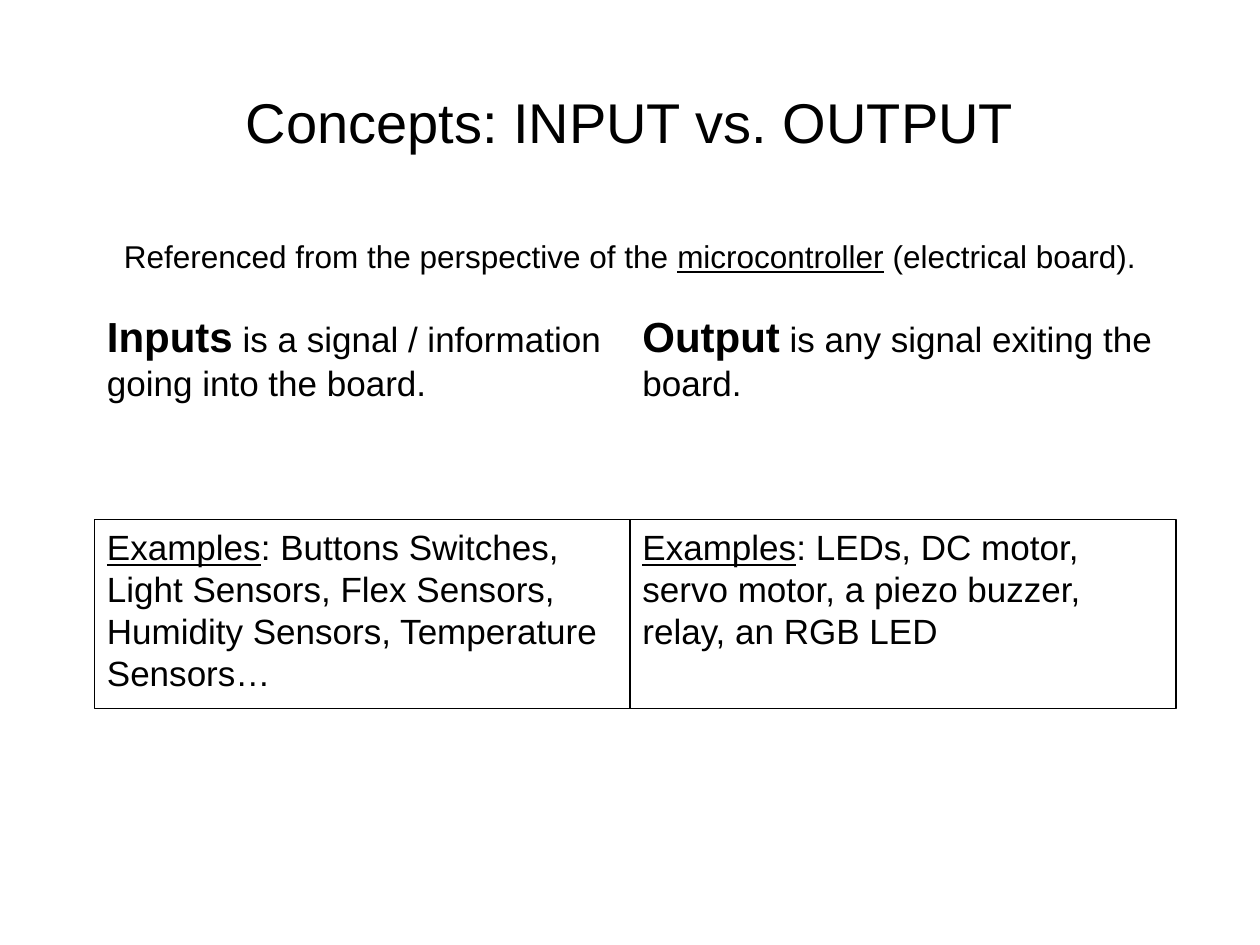
import pptx
import pptx.dml.color
import pptx.enum.shapes
import pptx.enum.text
import pptx.util

BLACK = pptx.dml.color.RGBColor(0x00, 0x00, 0x00)
WHITE = pptx.dml.color.RGBColor(0xFF, 0xFF, 0xFF)
ALIGN = pptx.enum.text.PP_ALIGN
ANCHOR = pptx.enum.text.MSO_ANCHOR

# Grid of the slide: twelve cells to the inch
CELL = pptx.util.Inches(1) // 12
COLUMNS, ROWS = 120, 90


def add_run(paragraph, text, size=20, bold=False, underline=False,
            font="Arial", color=BLACK):
    run = paragraph.add_run()
    run.text = text
    run.font.name = font
    run.font.size = pptx.util.Pt(size)
    run.font.bold = bold
    run.font.underline = underline
    run.font.color.rgb = color


class SlideBuilder:
    """Holds the style and the current slide; lengths are grid cells."""

    line_width = pptx.util.Pt(0.75)

    def __init__(self, presentation):
        title_only = presentation.slide_layouts[5]
        self.slide = presentation.slides.add_slide(title_only)
        self.slide.background.fill.solid()
        self.slide.background.fill.fore_color.rgb = WHITE

    def place(self, *cells):
        return [round(cell * CELL) for cell in cells]

    def fill_text(self, shape, runs, align=ALIGN.LEFT, anchor=ANCHOR.TOP):
        frame = shape.text_frame
        frame.word_wrap = True
        frame.auto_size = pptx.enum.text.MSO_AUTO_SIZE.NONE
        frame.vertical_anchor = anchor
        paragraph = frame.paragraphs[0]
        paragraph.alignment = align
        for text, style in runs:
            add_run(paragraph, text, **style)

    def title(self, text, cells, size):
        shape = self.slide.shapes.title
        shape.left, shape.top, shape.width, shape.height = self.place(*cells)
        self.fill_text(shape, [(text, {"size": size})],
                       ALIGN.CENTER, ANCHOR.MIDDLE)

    def text(self, runs, cells, align=ALIGN.LEFT):
        shape = self.slide.shapes.add_textbox(*self.place(*cells))
        self.fill_text(shape, runs, align)

    def box(self, runs, cells):
        shape = self.slide.shapes.add_shape(
            pptx.enum.shapes.MSO_SHAPE.RECTANGLE, *self.place(*cells))
        shape.shadow.inherit = False
        shape.fill.background()
        shape.line.color.rgb = BLACK
        shape.line.width = self.line_width
        self.fill_text(shape, runs)


def main():
    presentation = pptx.Presentation()
    presentation.slide_width = COLUMNS * CELL
    presentation.slide_height = ROWS * CELL
    builder = SlideBuilder(presentation)

    # Title and introduction
    margin, content_width = 9, 102
    builder.title("Concepts: INPUT vs. OUTPUT", (margin, 4, content_width, 15), 32)
    builder.text([
        ("Referenced from the perspective of the ", {"size": 18}),
        ("microcontroller", {"size": 18, "underline": True}),
        (" (electrical board).", {"size": 18}),
    ], (margin, 22, content_width, 58), ALIGN.CENTER)

    # Two columns: a definition above a box of examples
    columns = [
        (margin, 51, "Inputs", " is a signal / information going into the board.",
         ": Buttons Switches, Light Sensors, Flex Sensors, Humidity Sensors, "
         "Temperature Sensors…"),
        (60, 52, "Output", " is any signal exiting the board.",
         ": LEDs, DC motor, servo motor, a piezo buzzer, relay, an RGB LED"),
    ]
    for left, width, term, definition, examples in columns:
        builder.text([(term, {"size": 24, "bold": True}), (definition, {})],
                     (left, 29, width, 18))
        builder.box([("Examples", {"underline": True}), (examples, {})],
                    (left, 49.5, width, 18))

    presentation.save("out.pptx")


if __name__ == "__main__":
    main()
